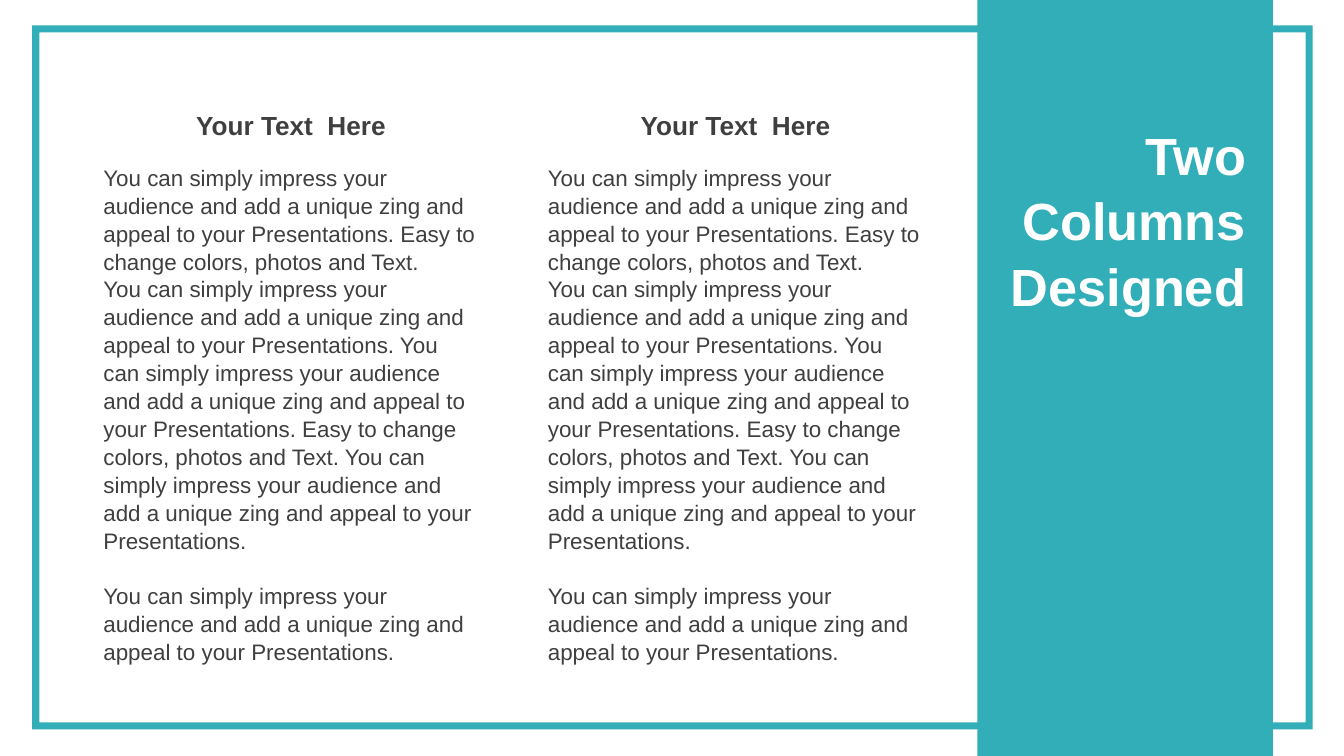
from pptx import Presentation
from pptx import util as u
from pptx.dml import color
from pptx.enum import shapes, text
from pptx.oxml import xmlchemy

TEAL = "32AEB8"
WHITE = "FFFFFF"
GREY = "3F3F3F"
SENTENCE = "You can simply impress your audience and add a unique zing and appeal to your Presentations."
EASY = "Easy to change colors, photos and Text."


def rgb(value):
    return color.RGBColor.from_string(value)


def fill_text(shape, box, lines, size, hex_color, bold, align, anchor):
    shape.left, shape.top, shape.width, shape.height = [u.Cm(length) for length in box]
    frame = shape.text_frame
    frame.word_wrap = True
    frame.auto_size = text.MSO_AUTO_SIZE.NONE
    frame.vertical_anchor = anchor
    for index, (line, gap) in enumerate(lines):
        paragraph = frame.add_paragraph() if index else frame.paragraphs[0]
        paragraph.alignment = align
        paragraph.space_before = u.Pt(gap)
        paragraph.line_spacing = 1.04
        properties = paragraph._p.get_or_add_pPr()
        properties.set("marL", "0")
        properties.set("indent", "0")
        properties.append(xmlchemy.OxmlElement("a:buNone"))
        run = paragraph.add_run()
        run.text = line
        run.font.name = "Arial"
        run.font.size = u.Pt(size)
        run.font.bold = bold
        run.font.color.rgb = rgb(hex_color)


presentation = Presentation()
presentation.slide_width = u.Cm(25.4)
presentation.slide_height = u.Cm(14.29)
slide = presentation.slides.add_slide(presentation.slide_layouts.get_by_name("Comparison"))
slide.background.fill.solid()
slide.background.fill.fore_color.rgb = rgb(WHITE)

for kind, box in (
    (shapes.MSO_SHAPE.FRAME, (0.61, 0.48, 24.2, 13.31)),
    (shapes.MSO_SHAPE.RECTANGLE, (18.47, 0, 5.59, 14.29)),
):
    shape = slide.shapes.add_shape(kind, *[u.Cm(length) for length in box])
    shape.shadow.inherit = False
    shape.fill.solid()
    shape.fill.fore_color.rgb = rgb(TEAL)
    shape.line.fill.background()
    if kind == shapes.MSO_SHAPE.FRAME:
        shape.adjustments[0] = 0.01

title = slide.shapes.title
title.element.getparent().append(title.element)
fill_text(title, (18.8, 2.13, 5, 4.01), [("Two Columns Designed", 0)], 28, WHITE, True,
          text.PP_ALIGN.RIGHT, text.MSO_ANCHOR.MIDDLE)

body_lines = [
    (f"{SENTENCE} {EASY}", 0),
    (f"{SENTENCE} {SENTENCE} {EASY} {SENTENCE}", 0),
    (SENTENCE, 14.4),
]
placeholders = {shape.placeholder_format.idx: shape for shape in slide.placeholders}
for column, (heading, body) in enumerate(((1, 2), (3, 4))):
    left = 1.7 + 8.4 * column
    fill_text(placeholders[body], (left, 2.95, 7.6, 9.5), body_lines, 12, GREY, False,
              text.PP_ALIGN.LEFT, text.MSO_ANCHOR.TOP)
    fill_text(placeholders[heading], (left, 1.93, 7.6, 0.86), [("Your Text  Here", 0)], 14, GREY, True,
              text.PP_ALIGN.CENTER, text.MSO_ANCHOR.MIDDLE)

presentation.save("out.pptx")
